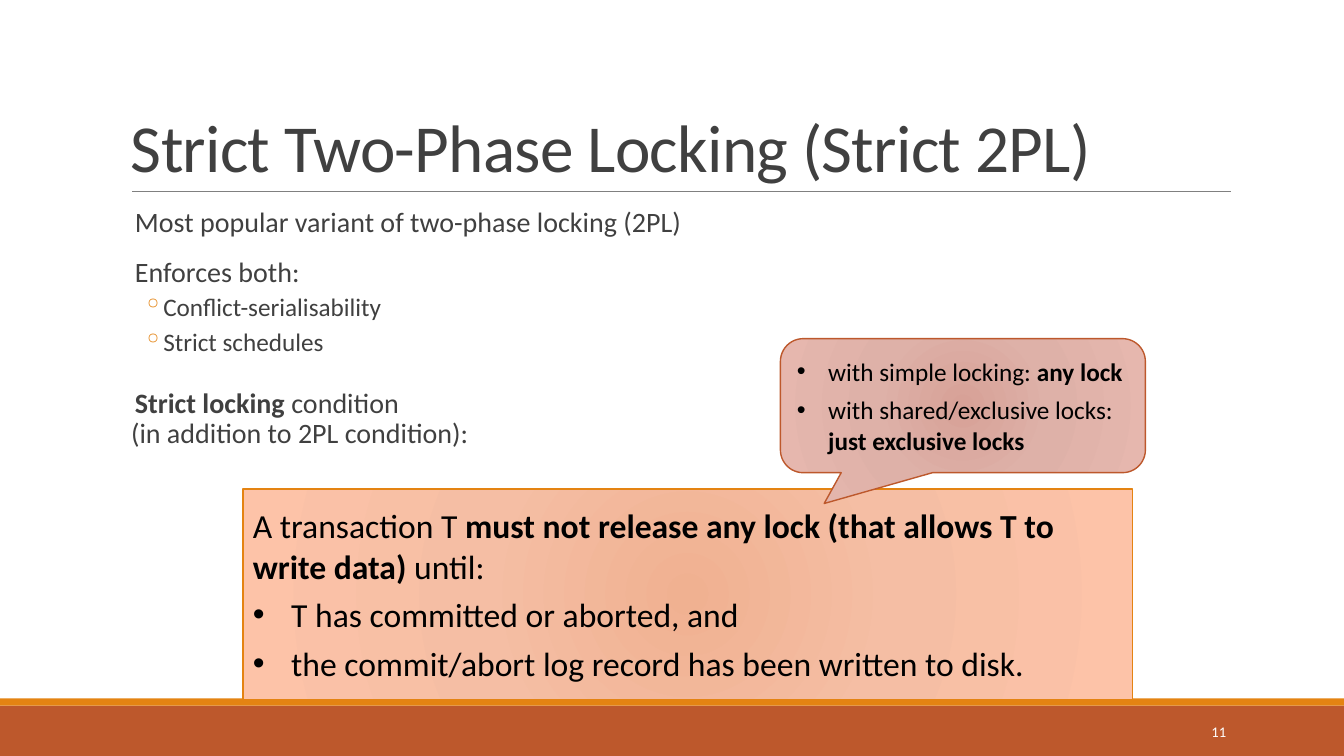
from typing import NamedTuple

from lxml import etree
from pptx import Presentation
from pptx.dml.color import RGBColor
from pptx.enum.shapes import MSO_CONNECTOR, MSO_SHAPE
from pptx.enum.text import MSO_ANCHOR, PP_ALIGN
from pptx.oxml import parse_xml
from pptx.oxml.ns import nsdecls, qn
from pptx.util import Inches, Pt

RECT = MSO_SHAPE.RECTANGLE
CALLOUT = MSO_SHAPE.ROUNDED_RECTANGULAR_CALLOUT
TOP, MIDDLE, BOTTOM = MSO_ANCHOR.TOP, MSO_ANCHOR.MIDDLE, MSO_ANCHOR.BOTTOM
LEFT, RIGHT = PP_ALIGN.LEFT, PP_ALIGN.RIGHT

FONT = "Calibri"
ORANGE, RUST = "E48312", "BD582C"
GREY, BLACK, WHITE = "404040", "000000", "FFFFFF"


class Box(NamedTuple):
    left: float
    top: float
    width: float
    height: float


class Span(NamedTuple):
    text: str
    bold: bool = False


class Para(NamedTuple):
    spans: list[Span]
    size: float
    color: str = BLACK
    bullet: str = ""
    bullet_color: str = BLACK
    margin: float = 0
    hanging: float = 0
    before: float = 0
    after: float = 0
    line: float = 1
    align: PP_ALIGN = LEFT
    tracking: int = 0


class Panel(NamedTuple):
    kind: MSO_SHAPE
    box: Box
    line: str
    stops: list[str]
    paras: list[Para]
    adjustments: list[float]


def rgb(color: str) -> RGBColor:
    return RGBColor.from_string(color)


def add_bullet(p, para: Para) -> None:
    pPr = p._p.get_or_add_pPr()
    pPr.set("marL", str(Inches(para.margin)))
    pPr.set("indent", str(Inches(-para.hanging)))
    color = etree.SubElement(pPr, qn("a:buClr"))
    etree.SubElement(color, qn("a:srgbClr"), val=para.bullet_color)
    if para.bullet == "•":
        etree.SubElement(pPr, qn("a:buFont"), typeface="Arial")
    etree.SubElement(pPr, qn("a:buChar"), char=para.bullet)


def add_span(p, span: Span, para: Para) -> None:
    for i, text in enumerate(span.text.split("\n")):
        if i:
            p.add_line_break()
        if not text:
            continue
        r = p.add_run()
        r.text = text
        r.font.name, r.font.size, r.font.bold = FONT, Pt(para.size), span.bold
        r.font.color.rgb = rgb(para.color)
        if para.tracking:
            r._r.get_or_add_rPr().set("spc", str(para.tracking))


def write(tf, paras: list[Para], anchor: MSO_ANCHOR) -> None:
    tf.word_wrap, tf.vertical_anchor = True, anchor
    for i, para in enumerate(paras):
        p = tf.add_paragraph() if i else tf.paragraphs[0]
        if para.bullet:
            add_bullet(p, para)
        p.alignment, p.line_spacing = para.align, para.line
        p.space_before, p.space_after = Pt(para.before), Pt(para.after)
        for span in para.spans:
            add_span(p, span, para)


def add_text(s, box: Box, paras: list[Para], anchor: MSO_ANCHOR, side: float = 0.1) -> None:
    tf = s.shapes.add_textbox(*map(Inches, box)).text_frame
    tf.margin_left = tf.margin_right = Inches(side)
    write(tf, paras, anchor)


def add_bar(s, box: Box, color: str) -> None:
    sp = s.shapes.add_shape(RECT, *map(Inches, box))
    sp.shadow.inherit = False
    sp.fill.solid()
    sp.fill.fore_color.rgb = rgb(color)
    sp.line.fill.background()


def fill_radial(sp, stops: list[str]) -> None:
    """Fill with a circular gradient spreading from the centre."""
    gs = "".join(f'<a:gs pos="{pos}"><a:srgbClr val="{color}"/></a:gs>'
                 for pos, color in zip((0, 45000, 100000), stops))
    sp.fill.solid()
    spPr = sp._element.spPr
    spPr.replace(spPr.find(qn("a:solidFill")), parse_xml(
        f'<a:gradFill {nsdecls("a")} rotWithShape="1"><a:gsLst>{gs}</a:gsLst><a:path path="circle">'
        '<a:fillToRect l="100000" t="100000" r="100000" b="100000"/></a:path></a:gradFill>'))


def add_panel(s, panel: Panel) -> None:
    sp = s.shapes.add_shape(panel.kind, *map(Inches, panel.box))
    sp.shadow.inherit = False
    for i, value in enumerate(panel.adjustments):
        sp.adjustments[i] = value
    fill_radial(sp, panel.stops)
    sp.line.color.rgb, sp.line.width = rgb(panel.line), Pt(1)
    write(sp.text_frame, panel.paras, MIDDLE)


def add_rule(s, left: float, right: float, y: float) -> None:
    line = s.shapes.add_connector(
        MSO_CONNECTOR.STRAIGHT, Inches(left), Inches(y), Inches(right), Inches(y))
    line.line.color.rgb, line.line.width = rgb("808080"), Pt(0.5)
    etree.SubElement(line._element.spPr, qn("a:effectLst"))


def statement(*spans: Span, before: float = 12) -> Para:
    return Para(list(spans), 20, GREY, " ", ORANGE, 0.1, 0.1, before, 2, 0.9)


def sub_item(text: str) -> Para:
    return Para([Span(text)], 18, GREY, "◦", ORANGE, 0.42, 0.2, 2, 4, 0.9)


def dot_item(*spans: Span, size: float, indent: float, before: float = 6) -> Para:
    return Para(list(spans), size, bullet="•", margin=indent, hanging=indent, before=before)


TITLE = Para([Span("Strict Two-Phase Locking (Strict 2PL)")], 48, GREY, line=0.85, tracking=-50)
BODY = [
    statement(Span("Most popular variant of two-phase locking (2PL)"), before=0),
    statement(Span("Enforces both:")),
    sub_item("Conflict-serialisability"),
    sub_item("Strict schedules"),
    statement(Span("Strict locking", True),
              Span(" condition\n(in addition to 2PL condition):"), before=18.7),
]
PANELS = [
    Panel(RECT, Box(2.41, 4.85, 8.82, 2.09), ORANGE, ["F0B191", "F5BEA4", "FDC3A8"], [
        Para([Span("A transaction T "),
              Span("must not release any lock (that allows T to write data) ", True),
              Span("until:")], 24),
        dot_item(Span("T has committed or aborted, and"), size=24, indent=0.38),
        dot_item(Span("the commit/abort log record has been written to disk."), size=24, indent=0.38),
    ], []),
    Panel(CALLOUT, Box(7.74, 3.36, 3.62, 1.33), RUST, ["D7A197", "DEB1A8", "E6B7AE"], [
        dot_item(Span("with simple locking: "), Span("any lock", True), size=18, indent=0.31, before=0),
        dot_item(Span("with shared/exclusive locks:\n"), Span("just exclusive locks", True),
                 size=18, indent=0.31),
    ], [-0.38, 0.73, 0.17]),
]


def main() -> None:
    prs = Presentation()
    prs.slide_width, prs.slide_height = Inches(13.33), Inches(7.5)
    s = prs.slides.add_slide(prs.slide_layouts[6])
    add_bar(s, Box(0, 7, 13.33, 0.5), RUST)
    add_bar(s, Box(0, 6.93, 13.33, 0.07), ORANGE)
    add_rule(s, 1.31, 12.21, 1.9)
    add_text(s, Box(1.2, 0.31, 11, 1.59), [TITLE], BOTTOM)
    add_text(s, Box(1.2, 2.02, 11, 4.4), BODY, TOP, side=0)
    add_text(s, Box(10.83, 7.06, 1.43, 0.4),
             [Para([Span("11")], 10.5, WHITE, align=RIGHT)], MIDDLE)
    for panel in PANELS:
        add_panel(s, panel)
    prs.save("out.pptx")


if __name__ == "__main__":
    main()
